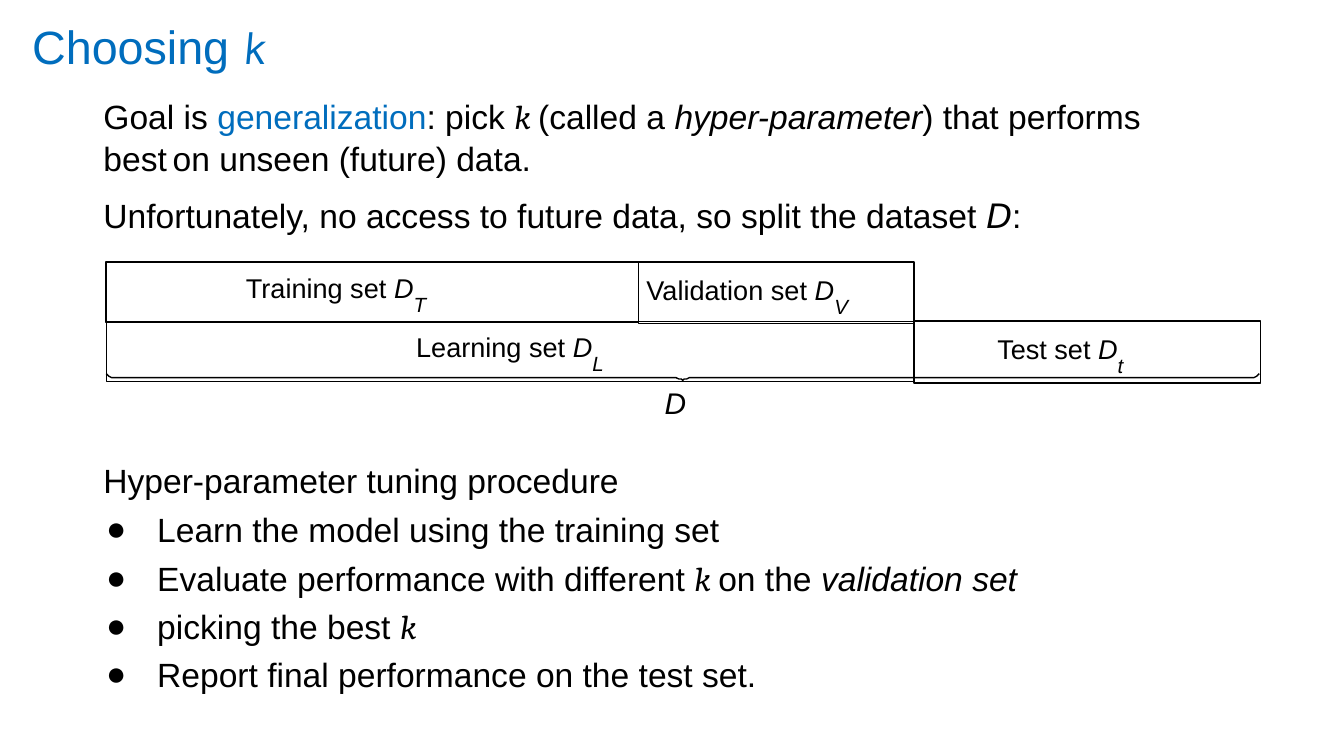
from lxml.etree import SubElement
from pptx import Presentation
from pptx.dml.color import RGBColor
from pptx.enum.shapes import MSO_SHAPE as Shape
from pptx.enum.text import MSO_ANCHOR as Anchor, MSO_AUTO_SIZE as Fit, PP_ALIGN as Align
from pptx.oxml.ns import qn
from pptx.util import Inches, Pt

BLACK, BLUE = "000000", "006DBD"
ITAL = {"ital": True}
MATH = {"font": "Cambria", "ital": True}
BULLET = {"left": 0.5, "hang": -0.38, "mark": "●"}
ITEM = {**BULLET, "lines": 1.2}

# A paragraph is (layout, runs); a run is (text, style).
TITLE = [({"left": 0.03}, [
    ("Choosing ", {"size": 25, "color": BLUE}),
    ("k", {"size": 25, "color": BLUE, "font": "Karla", "ital": True})])]
GOAL = [
    ({"left": 0.07}, [
        ("Goal is ", {}), ("generalization", {"color": BLUE}), (": pick ", {}),
        ("k ", MATH), ("(called a ", {}), ("hyper-parameter", ITAL),
        (") that performs best", {}), (" ", {"size": 19, "base": 30}),
        ("on unseen (future) data.", {})]),
    ({"left": 0.07, "before": 9}, [
        ("Unfortunately, no access to future data, so split the dataset ", {}),
        ("D", {"font": "DejaVu Sans", "ital": True}), (":", {})]),
]
STEPS = [
    ({"left": 1.21, "align": Align.CENTER}, [("D", {"size": 16, "ital": True})]),
    ({"left": 0.1, "before": 21}, [("Hyper-parameter tuning procedure", {})]),
    ({**BULLET, "before": 5}, [("Learn the model using the training set", {})]),
    (ITEM, [("Evaluate performance with different ", {}), ("k ", MATH),
            ("on the ", {}), ("validation set", ITAL)]),
    (ITEM, [("picking the best ", {}), ("k", MATH)]),
    (ITEM, [("Report final performance on the test set.", {})]),
]

# Edges of the dataset diagram
START, MID, SPLIT, END = 0.79, 4.75, 6.8, 9.38
UPPER, LOWER = 1.95, 2.39
# name, subscript, left, right, top, height, text inset, paragraph layout
SETS = [
    ("Training", "T", START, MID, UPPER, 0.45, 0.03, {"left": 1.04}),
    ("Validation", "V", MID, SPLIT, UPPER, 0.46, 0.04, {"left": 0.06}),
    ("Learning", "L", START, SPLIT, LOWER, 0.45, 0.03, {"align": Align.CENTER}),
    ("Test", "t", SPLIT, END, LOWER, 0.46, 0.04, {"left": 0.62}),
]
# Left half of the brace in hundredths of an inch, ending at its tip
BRACE = [(79, 278), (80, 279), (81, 280), (83, 281), (85, 281),
         (501, 281), (503, 281), (505, 282), (507, 282), (508, 283)]


def rgb(color):
    return RGBColor.from_string(color)


def style(run, size=18, font="Arial", color=BLACK, ital=False, base=0):
    face = run.font
    face.size, face.name, face.italic = Pt(size), font, ital
    face.color.rgb = rgb(color)
    if base:
        run._r.get_or_add_rPr().set("baseline", str(base * 1000))


def lay(para, left=0, hang=0, align=Align.LEFT, before=0, lines=1.0, mark=None):
    """Set indents, spacing and bullet of a paragraph."""
    para.alignment, para.line_spacing = align, lines
    para.space_before, para.space_after = Pt(before), Pt(0)
    props = para._p.get_or_add_pPr()
    props.set("marL", str(Inches(left)))
    props.set("indent", str(Inches(hang)))
    if mark:
        tint = SubElement(props, qn("a:buClr"))
        SubElement(tint, qn("a:srgbClr")).set("val", BLACK)
        SubElement(props, qn("a:buFont")).set("typeface", "Arial")
        SubElement(props, qn("a:buChar")).set("char", mark)


def write(shape, paras, inset):
    frame = shape.text_frame
    frame.word_wrap, frame.auto_size = True, Fit.NONE
    frame.vertical_anchor = Anchor.TOP
    frame.margin_left = frame.margin_right = frame.margin_bottom = 0
    frame.margin_top = Inches(inset)
    for i, (layout, runs) in enumerate(paras):
        para = frame.add_paragraph() if i else frame.paragraphs[0]
        lay(para, **layout)
        for text, look in runs:
            run = para.add_run()
            run.text = text
            style(run, **look)


def outline(shape):
    shape.shadow.inherit = False
    shape.fill.background()
    shape.line.color.rgb = rgb(BLACK)
    shape.line.width = Pt(0.75)


def main():
    deck = Presentation()
    deck.slide_width = Inches(10)
    deck.slide_height = deck.slide_width * 9 // 16
    slide = deck.slides.add_slide(deck.slide_layouts[5])
    shapes = slide.shapes

    title = shapes.title
    title.left, title.top = Inches(0.21), Inches(0.1)
    title.width, title.height = Inches(1.86), Inches(0.46)
    write(title, TITLE, 0.03)

    goal = shapes.add_textbox(*map(Inches, (0.7, 0.69, 8.3, 1.08)))
    write(goal, GOAL, 0.02)

    for name, sub, left, right, top, height, inset, layout in SETS:
        box = shapes.add_shape(
            Shape.RECTANGLE, *map(Inches, (left, top, right - left, height)))
        outline(box)
        label = [(f"{name} set ", {"size": 25, "base": 30}),
                 ("D", {"size": 25, "base": 30, "ital": True}),
                 (sub, {"size": 11, "ital": True})]
        write(box, [(layout, label)], inset)

    tip = BRACE[-1][0]
    points = BRACE + [(2 * tip - x, y) for x, y in BRACE[-2::-1]]
    pen = shapes.build_freeform(*points[0], scale=Inches(0.01))
    pen.add_line_segments(points[1:], close=False)
    outline(pen.convert_to_shape())

    steps = shapes.add_textbox(*map(Inches, (0.67, 2.84, 7.5, 2.29)))
    write(steps, STEPS, 0.02)
    deck.save("out.pptx")


if __name__ == "__main__":
    main()
